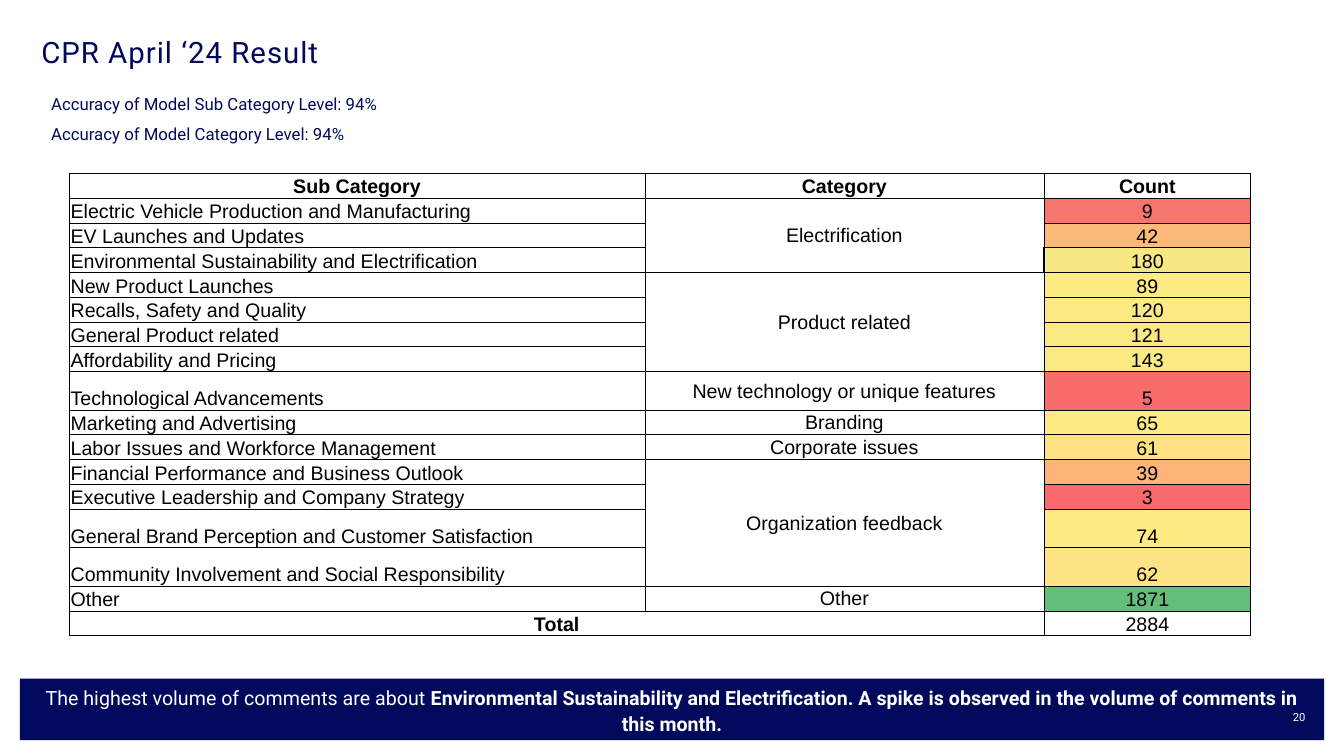
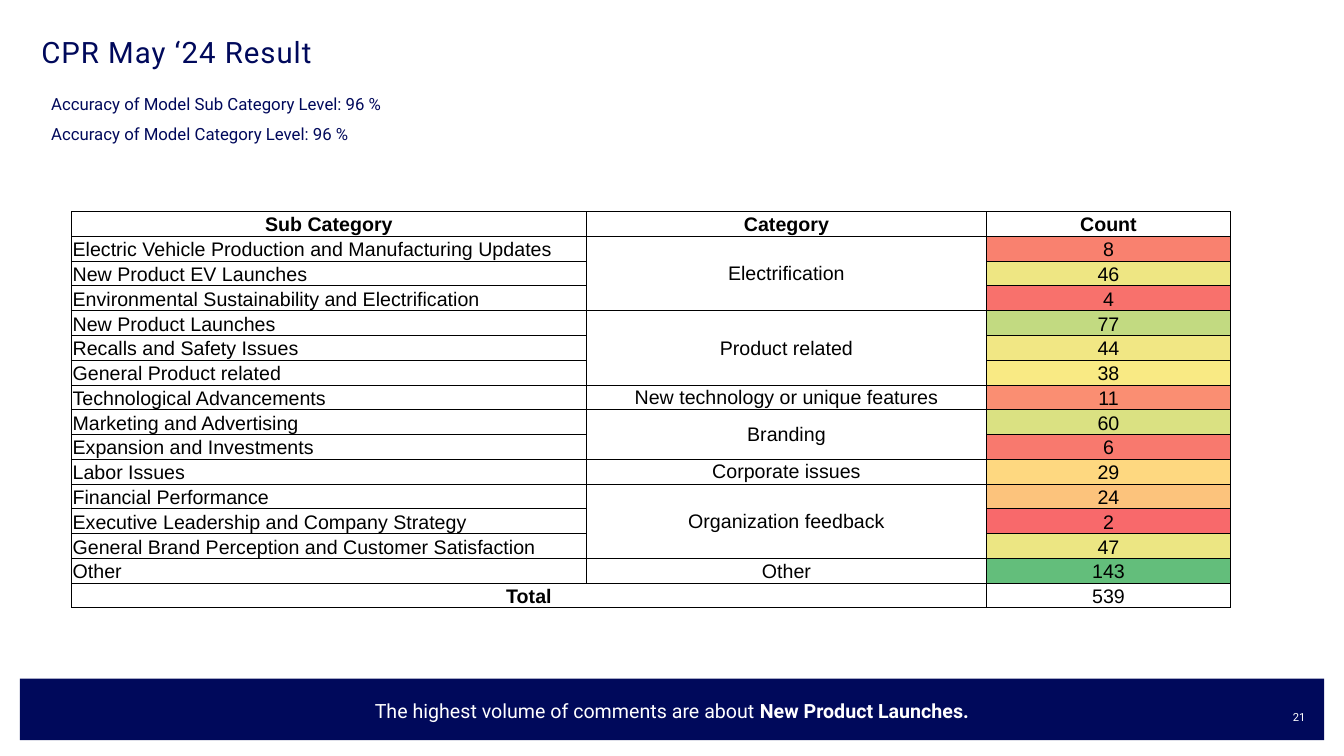
from lxml import etree
from pptx import Presentation
from pptx.dml.color import RGBColor
from pptx.enum.shapes import MSO_SHAPE
from pptx.enum.text import MSO_ANCHOR, MSO_AUTO_SIZE, PP_ALIGN
from pptx.oxml.ns import qn
from pptx.util import Cm, Pt

LEFT, CENTER, RIGHT = PP_ALIGN.LEFT, PP_ALIGN.CENTER, PP_ALIGN.RIGHT
TOP, MIDDLE, BOTTOM = MSO_ANCHOR.TOP, MSO_ANCHOR.MIDDLE, MSO_ANCHOR.BOTTOM
RECTANGLE = MSO_SHAPE.RECTANGLE
NO_AUTOFIT = MSO_AUTO_SIZE.NONE

COLORS = {
    "navy": "00095B",
    "white": "FFFFFF",
    "black": "000000",
    "low": "F8696B",
    "median": "FFEB84",
    "high": "63BE7B",
}
ROW_HEIGHT, TALL_ROW_HEIGHT = 0.61, 0.97
HEADINGS = ["Sub Category", "Category", "Count"]
MESSAGE = "The highest volume of comments are about "

# Monthly results: each category holds its sub categories and counts
MONTHS = [
    {
        "month": "April", "accuracy": "94%", "number": "20",
        "highlight": "Environmental Sustainability and Electrification. "
                     "A spike is observed in the volume of comments in this month.",
        "left": 1.75, "top": 4.37, "widths": [14.5, 10.06, 5.21],
        "tall_rows": [8, 13, 14],
        "categories": [
            ("Electrification", [
                ("Electric Vehicle Production and Manufacturing", 9),
                ("EV Launches and Updates", 42),
                ("Environmental Sustainability and Electrification", 180)]),
            ("Product related", [
                ("New Product Launches", 89),
                ("Recalls, Safety and Quality", 120),
                ("General Product related", 121),
                ("Affordability and Pricing", 143)]),
            ("New technology or unique features", [("Technological Advancements", 5)]),
            ("Branding", [("Marketing and Advertising", 65)]),
            ("Corporate issues", [("Labor Issues and Workforce Management", 61)]),
            ("Organization feedback", [
                ("Financial Performance and Business Outlook", 39),
                ("Executive Leadership and Company Strategy", 3),
                ("General Brand Perception and Customer Satisfaction", 74),
                ("Community Involvement and Social Responsibility", 62)]),
            ("Other", [("Other", 1871)]),
        ],
    },
    {
        "month": "May", "accuracy": "96 %", "number": "21",
        "highlight": "New Product Launches.",
        "left": 1.8, "top": 5.33, "widths": [12.98, 10.08, 6.15],
        "tall_rows": [],
        "categories": [
            ("Electrification", [
                ("Electric Vehicle Production and Manufacturing Updates", 8),
                ("New Product EV Launches", 46),
                ("Environmental Sustainability and Electrification", 4)]),
            ("Product related", [
                ("New Product Launches", 77),
                ("Recalls and Safety Issues", 44),
                ("General Product related", 38)]),
            ("New technology or unique features", [("Technological Advancements", 11)]),
            ("Branding", [
                ("Marketing and Advertising", 60),
                ("Expansion and Investments", 6)]),
            ("Corporate issues", [("Labor Issues", 29)]),
            ("Organization feedback", [
                ("Financial Performance", 24),
                ("Executive Leadership and Company Strategy", 2),
                ("General Brand Perception and Customer Satisfaction", 47)]),
            ("Other", [("Other", 143)]),
        ],
    },
]


def write(frame, text, size=14, font="Roboto", color="navy", bold=False,
          align=LEFT, anchor=TOP, line_spacing=None, tracking=None):
    """Add a formatted run to the first paragraph of a text frame."""
    frame.word_wrap = True
    frame.vertical_anchor = anchor
    para = frame.paragraphs[0]
    para.alignment = align
    para.line_spacing = line_spacing
    span = para.add_run()
    span.text = text
    span.font.size = Pt(size)
    span.font.name = font
    span.font.bold = bold
    span.font.color.rgb = RGBColor.from_string(COLORS[color])
    if tracking:
        span.font._element.set("spc", str(tracking))


def heat_color(count, counts):
    """Return the three-colour scale value of a count: lowest, median, highest."""
    ranked = sorted(counts)
    median = (ranked[(len(ranked) - 1) // 2] + ranked[len(ranked) // 2]) / 2
    if count <= median:
        start, end = COLORS["low"], COLORS["median"]
        share = (count - ranked[0]) / (median - ranked[0])
    else:
        start, end = COLORS["median"], COLORS["high"]
        share = (count - median) / (ranked[-1] - median)
    pairs = zip(RGBColor.from_string(start), RGBColor.from_string(end))
    return RGBColor(*[first + int((last - first) * share) for first, last in pairs])


deck = Presentation()
deck.slide_width, deck.slide_height = Cm(33.87), Cm(19.05)
title_only = deck.slide_layouts[5]

for result in MONTHS:
    page = deck.slides.add_slide(title_only)

    # Title
    title = page.shapes.title
    title.left, title.top, title.width, title.height = Cm(1.04), Cm(0.84), Cm(29.21), Cm(1.9)
    title.text_frame.margin_left = 0
    title.text_frame.auto_size = NO_AUTOFIT
    write(title.text_frame, f"CPR {result['month']} ‘24 Result", size=21,
          line_spacing=0.9, tracking=70)

    # Model accuracy
    for index, level in enumerate(["Sub Category", "Category"]):
        box = page.shapes.add_textbox(Cm(1.04), Cm(2.24 + 0.76 * index), Cm(12.57), Cm(0.76))
        write(box.text_frame, f"Accuracy of Model {level} Level: {result['accuracy']}", size=12)

    # Bottom band with the key message
    band = page.shapes.add_shape(RECTANGLE, Cm(0.5), Cm(17.1), Cm(32.87), Cm(1.55))
    band.shadow.inherit = False
    band.fill.solid()
    band.fill.fore_color.rgb = RGBColor.from_string(COLORS["navy"])
    band.line.fill.background()
    for text, bold in [(MESSAGE, False), (result["highlight"], True)]:
        write(band.text_frame, text, color="white", bold=bold, align=CENTER,
              anchor=MIDDLE, line_spacing=1.1)

    # Page number
    box = page.shapes.add_textbox(Cm(32), Cm(17.78), Cm(0.9), Cm(1.02))
    box.text_frame.margin_left = box.text_frame.margin_right = 0
    write(box.text_frame, result["number"], size=8, color="white", align=RIGHT)

    # Table rows; a category is named in the first row of its group
    rows = [HEADINGS]
    merges = []
    for category, items in result["categories"]:
        merges.append((len(rows), 1, len(rows) + len(items) - 1, 1))
        for index, (name, count) in enumerate(items):
            rows.append([name, "" if index else category, count])
    counts = [row[2] for row in rows[1:]]
    total_row = len(rows)
    rows.append(["Total", "", sum(counts)])
    merges.append((total_row, 0, total_row, 1))

    heights = [TALL_ROW_HEIGHT if index in result["tall_rows"] else ROW_HEIGHT
               for index in range(len(rows))]
    table = page.shapes.add_table(
        len(rows), 3, Cm(result["left"]), Cm(result["top"]),
        Cm(sum(result["widths"])), Cm(sum(heights))).table
    table.first_row = table.horz_banding = False
    for column, width in zip(table.columns, result["widths"]):
        column.width = Cm(width)
    for row, height in zip(table.rows, heights):
        row.height = Cm(height)
    for top, left, bottom, right in merges:
        if (top, left) != (bottom, right):
            table.cell(top, left).merge(table.cell(bottom, right))

    # Table cells
    for row_index, row in enumerate(rows):
        for column_index, value in enumerate(row):
            cell = table.cell(row_index, column_index)
            cell.margin_left = cell.margin_right = cell.margin_top = Cm(0.03)
            cell.margin_bottom = 0
            is_heading = row_index == 0
            is_total = row_index == total_row
            is_count = column_index == 2

            # Borders, with a heavier left edge on the third count
            properties = cell._tc.get_or_add_tcPr()
            for side in ["lnL", "lnR", "lnT", "lnB"]:
                heavy = side == "lnL" and is_count and row_index == 3
                border = etree.SubElement(properties, qn(f"a:{side}"),
                                          w=str(Pt(1 if heavy else 0.5)))
                fill = etree.SubElement(border, qn("a:solidFill"))
                etree.SubElement(fill, qn("a:srgbClr"), val=COLORS["black"])

            if is_count and not is_heading and not is_total:
                cell.fill.solid()
                cell.fill.fore_color.rgb = heat_color(value, counts)
            else:
                cell.fill.background()

            if value != "":
                write(cell.text_frame, str(value), font="Arial", color="black",
                      bold=is_heading or (is_total and not is_count),
                      align=CENTER if is_heading or is_total or column_index else LEFT)
            cell.vertical_anchor = MIDDLE if is_heading or column_index == 1 else BOTTOM

deck.save("out.pptx")
